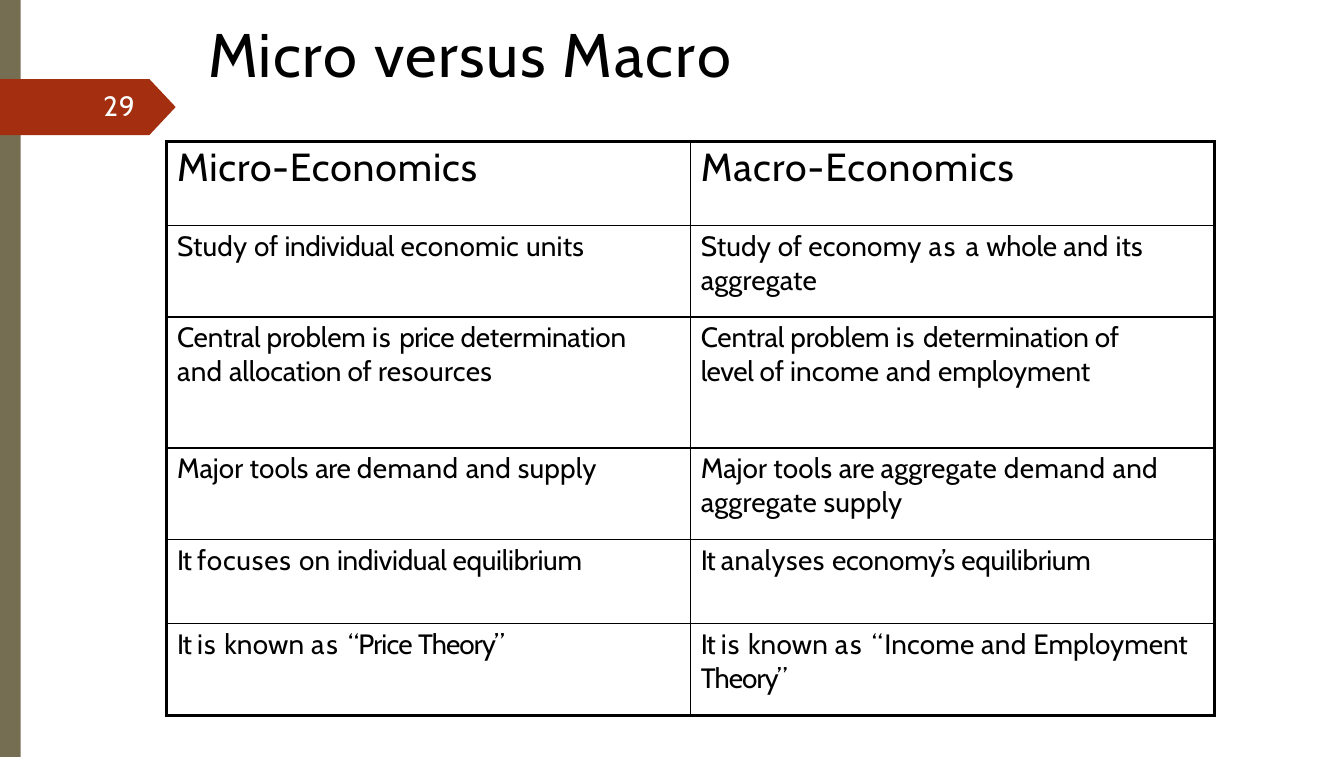
from lxml import etree
from pptx import Presentation
from pptx.dml.color import RGBColor
from pptx.enum.shapes import MSO_SHAPE as Preset
from pptx.enum.text import MSO_ANCHOR as Anchor, MSO_AUTO_SIZE as AutoSize, PP_ALIGN as Align
from pptx.oxml.ns import qn
from pptx.util import Pt

TITLE = "Micro versus Macro"
PAGE = "29"
# row height, right margin, micro side, macro side
COMPARISON = [
    (52.7, 0, "Micro-Economics", "Macro-Economics"),
    (57.2, 0, "Study of individual economic units",
     "Study of economy as a whole and its aggregate"),
    (82, 36, "Central problem is price determination and allocation of resources",
     "Central problem is determination of level of income and employment"),
    (57.2, 0, "Major tools are demand and supply",
     "Major tools are aggregate demand and aggregate supply"),
    (52.7, 0, "It focuses on individual equilibrium",
     "It analyses economy’s equilibrium"),
    (57.2, 0, "It is known as “Price Theory”",
     "It is known as “ Income and Employment Theory”"),
]
# letter spacing in points, and the words that take it
TRACKING = {
    1.4: "Macro", 1.2: "as", 1: "Micro", 0.9: "versus",
    0.7: "is Macro-Economics", 0.6: "Micro-Economics", 0.5: "focuses 29",
    0.3: "a demand analyses", 0.2: "economic economy and resources",
    0.1: "Study units its aggregate income tools supply on known Income",
    -0.1: "of whole Central problem determination allocation employment economy’s",
    -0.2: "individual are equilibrium", -0.3: "price level",
    -0.5: "“Price", -0.6: "Theory”", -0.8: "It", -3: "“",
}
WORD_TRACKING = {word: gap for gap, words in TRACKING.items() for word in words.split()}

COLORS = {"ink": "000000", "page": "FDFFFF", "band": "766E53", "tag": "A42F10"}
FONT = "Cabin"
SLIDE_W, SLIDE_H = 841.68, 473.76
TABLE_LEFT, TABLE_TOP, COLUMN_W = 104.4, 88.6, 328
OUTER_LINE, INNER_LINE = 2.25, 1


def write(frame, text, size, color, before):
    """Write one paragraph, grouping words that share a letter spacing."""
    paragraph = frame.paragraphs[0]
    paragraph.alignment = Align.LEFT
    paragraph.line_spacing = 1.0
    paragraph.space_before = Pt(before)
    font = paragraph.font
    font.name, font.size, font.bold = FONT, Pt(size), False
    font.color.rgb = RGBColor.from_string(COLORS[color])
    words = text.split()
    run, previous = None, None
    for index, word in enumerate(words):
        gap = WORD_TRACKING.get(word, 0)
        if run is None or gap != previous:
            run, previous = paragraph.add_run(), gap
            run._r.get_or_add_rPr().set("spc", str(round(gap * 100)))
        run.text += word + (" " if index < len(words) - 1 else "")


def fit_frame(frame, top):
    """Give a text frame tight margins and let its shape grow."""
    frame.word_wrap = True
    frame.auto_size = AutoSize.SHAPE_TO_FIT_TEXT
    frame.vertical_anchor = Anchor.TOP
    frame.margin_left = frame.margin_right = frame.margin_bottom = 0
    frame.margin_top = Pt(top)


def add_block(preset, top, width, height, color):
    """Add a plain filled shape at the left edge of the slide."""
    block = slide.shapes.add_shape(preset, 0, Pt(top), Pt(width), Pt(height))
    block.shadow.inherit = False
    block.fill.solid()
    block.fill.fore_color.rgb = RGBColor.from_string(COLORS[color])
    block.line.fill.background()
    return block


def set_borders(cell, widths):
    """Draw the left, right, top and bottom borders of a cell."""
    properties = cell._tc.get_or_add_tcPr()
    for index, (side, width) in enumerate(zip("LRTB", widths)):
        line = etree.Element(qn(f"a:ln{side}"), w=str(Pt(width)))
        fill = etree.SubElement(line, qn("a:solidFill"))
        etree.SubElement(fill, qn("a:srgbClr"), val=COLORS["ink"])
        properties.insert(index, line)


def add_comparison():
    """Add the two-column comparison table."""
    count = len(COMPARISON)
    height = sum(row[0] for row in COMPARISON)
    table = slide.shapes.add_table(count, 2, Pt(TABLE_LEFT), Pt(TABLE_TOP),
                                   Pt(2 * COLUMN_W), Pt(height)).table
    table.first_row = table.horz_banding = False
    for column in table.columns:
        column.width = Pt(COLUMN_W)
    for r, (row_height, right, *sides) in enumerate(COMPARISON):
        table.rows[r].height = Pt(row_height)
        size, before, top = (24.5, 1.4, 1.4) if r == 0 else (17.5, 2.3, 2.2)
        for c, text in enumerate(sides):
            cell = table.cell(r, c)
            cell.margin_left, cell.margin_right = Pt(6.5), Pt(right)
            cell.margin_top, cell.margin_bottom = Pt(top), 0
            cell.fill.background()
            write(cell.text_frame, text, size, "ink", before)
            at_edge = (c == 0, c == 1, r == 0, r == count - 1)
            set_borders(cell, [OUTER_LINE if edge else INNER_LINE for edge in at_edge])


deck = Presentation()
deck.slide_width, deck.slide_height = Pt(SLIDE_W), Pt(SLIDE_H)
slide = deck.slides.add_slide(deck.slide_layouts[5])

add_block(Preset.RECTANGLE, 0, 13, SLIDE_H, "band")
page_tag = add_block(Preset.PENTAGON, 49.5, 110, 35, "tag")
page_tag.adjustments[0] = 0.47

title = slide.shapes.title
title.left, title.top, title.width, title.height = Pt(130.3), Pt(8.6), Pt(343), Pt(48.2)
fit_frame(title.text_frame, 1.4)
write(title.text_frame, TITLE, 38.5, "ink", 1.1)

page_number = slide.shapes.add_textbox(Pt(64.8), Pt(54.7), Pt(21.6), Pt(23))
fit_frame(page_number.text_frame, 0.9)
write(page_number.text_frame, PAGE, 17.5, "page", 1.1)

add_comparison()
deck.save("out.pptx")
